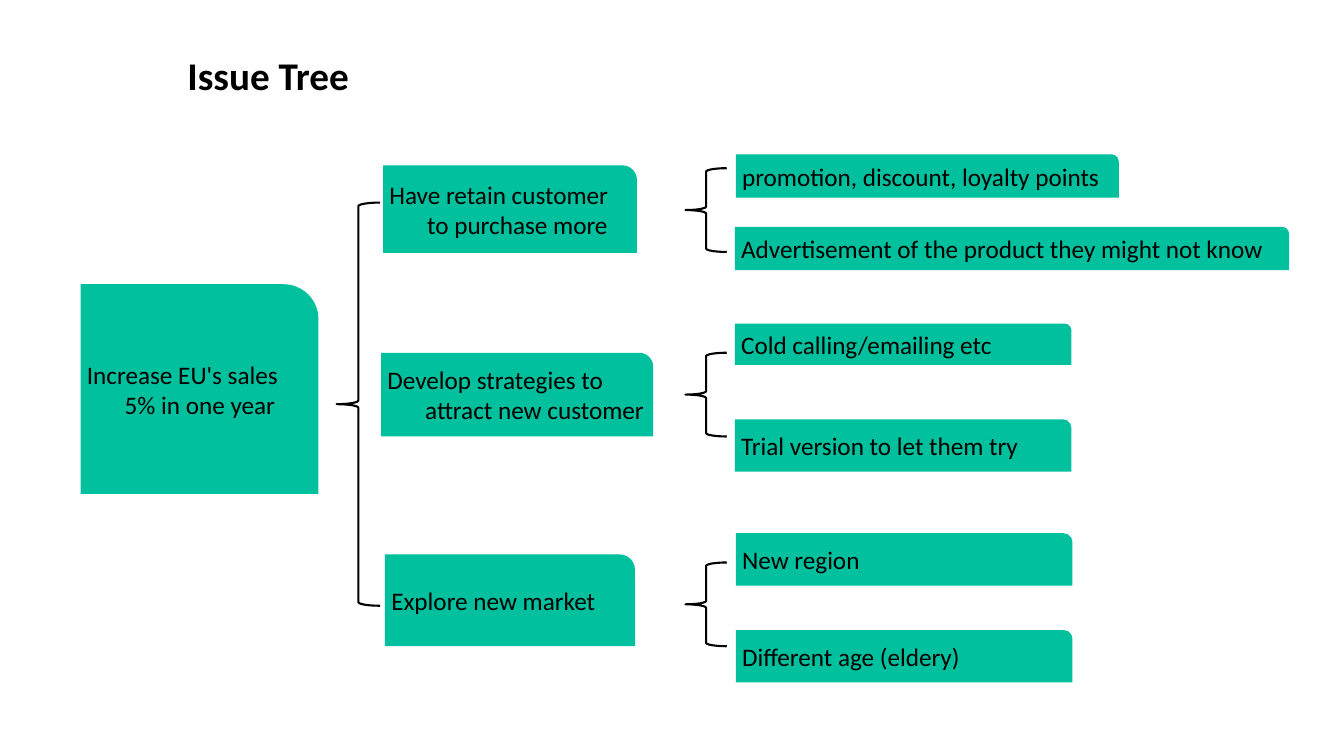
import pptx
import pptx.dml.color
import pptx.enum.shapes
import pptx.enum.text
import pptx.util
from pptx.util import Pt

GREEN = pptx.dml.color.RGBColor(0x00, 0xC0, 0x9D)
BLACK = pptx.dml.color.RGBColor(0x00, 0x00, 0x00)

SHAPES = pptx.enum.shapes.MSO_SHAPE
ANCHOR = pptx.enum.text.MSO_ANCHOR
ALIGN = pptx.enum.text.PP_ALIGN

TITLE_FONT = {"name": "Calibri", "size": Pt(28), "bold": True}
NODE_FONT = {"name": "Calibri", "size": Pt(18), "bold": False}
TITLE_FRAME = {"margin_left": 0, "margin_top": 0, "margin_right": 0, "margin_bottom": 0,
               "word_wrap": True, "vertical_anchor": ANCHOR.TOP,
               "auto_size": pptx.enum.text.MSO_AUTO_SIZE.NONE}
NODE_FRAME = {"margin_left": Pt(4.5), "margin_top": Pt(3.6), "margin_right": Pt(3.6),
              "margin_bottom": Pt(3.6), "word_wrap": True, "vertical_anchor": ANCHOR.MIDDLE}
ROOT_FRAME = {**NODE_FRAME, "margin_top": 0, "margin_right": 0, "margin_bottom": 0}
HANGING = Pt(27)

# Boxes are left, top, width, height in points
TITLE_BOX = (133.9, 40.3, 692.6, 50.4)
ROOT_BOX = (57.6, 203, 169.9, 149.8)
ROOT_BRACE = (240.5, 144.7, 31, 288)

# Each branch: its box, then its parts placed relative to that box
BRANCHES = [
    {"box": (272, 110.2, 649, 82.8), "brace_top": 10,
     "node": ("Have retain customer to purchase more", (1.6, 7.9, 181.4, 62.6)),
     "leaves": [("promotion, discount, loyalty points", (253.6, 0, 273.6, 31)),
                ("Advertisement of the product they might not know", (252.9, 51.8, 396, 31))]},
    {"box": (272, 231.1, 494, 105.8), "brace_top": 20.9,
     "node": ("Develop strategies to attract new customer", (0.2, 20.9, 194.4, 59.8)),
     "leaves": [("Cold calling/emailing etc", (252.9, 0, 240.5, 29.5)),
                ("Trial version to let them try", (252.9, 68.4, 240.5, 37.4))]},
    {"box": (272, 380.9, 494, 106.5), "brace_top": 20.9,
     "node": ("Explore new market", (3, 15.1, 178.6, 65.5)),
     "leaves": [("New region", (253.6, 0, 240.5, 37.4)),
                ("Different age (eldery)", (253.6, 69.1, 240.5, 37.4))]},
]
BRACE_LEFT, BRACE_WIDTH, BRACE_HEIGHT = 217.6, 29.5, 59.8


def apply_format(target, values):
    for name, value in values.items():
        setattr(target, name, value)


def write_text(frame, text, frame_format, font_format):
    apply_format(frame, frame_format)
    para = frame.paragraphs[0]
    para.alignment = ALIGN.LEFT
    span = para.add_run()
    span.text = text
    apply_format(span.font, font_format)
    span.font.color.rgb = BLACK
    return para


def add_shape(slide, kind, box):
    shape = slide.shapes.add_shape(kind, *(Pt(length) for length in box))
    shape.shadow.inherit = False
    return shape


def add_node(slide, text, box, frame_format=NODE_FRAME):
    node = add_shape(slide, SHAPES.ROUND_1_RECTANGLE, box)
    node.fill.solid()
    node.fill.fore_color.rgb = GREEN
    node.line.fill.background()
    para = write_text(node.text_frame, text, frame_format, NODE_FONT)
    # Hanging indent
    properties = para._p.get_or_add_pPr()
    properties.set("marL", str(HANGING))
    properties.set("indent", str(-HANGING))


def add_brace(slide, box):
    brace = add_shape(slide, SHAPES.LEFT_BRACE, box)
    brace.fill.background()
    brace.line.color.rgb = BLACK
    brace.line.width = Pt(1.5)


def add_title(slide, box):
    title = slide.shapes.title
    edges = ("left", "top", "width", "height")
    apply_format(title, {edge: Pt(length) for edge, length in zip(edges, box)})
    para = write_text(title.text_frame, "Issue Tree", TITLE_FRAME, TITLE_FONT)
    para.line_spacing = 0.9


def add_branch(slide, box, node, brace_top, leaves):
    left, top = box[:2]
    for text, (dx, dy, width, height) in [node, *leaves]:
        add_node(slide, text, (left + dx, top + dy, width, height))
    add_brace(slide, (left + BRACE_LEFT, top + brace_top, BRACE_WIDTH, BRACE_HEIGHT))


def main():
    deck = pptx.Presentation()
    deck.slide_width, deck.slide_height = Pt(960), Pt(540)
    slide = deck.slides.add_slide(deck.slide_layouts.get_by_name("Title Only"))

    # Title
    add_title(slide, TITLE_BOX)

    # Root of the tree
    add_node(slide, "Increase EU's sales 5% in one year", ROOT_BOX, ROOT_FRAME)
    add_brace(slide, ROOT_BRACE)

    # Branches with their leaves
    for branch in BRANCHES:
        add_branch(slide, **branch)

    deck.save("out.pptx")


if __name__ == "__main__":
    main()
